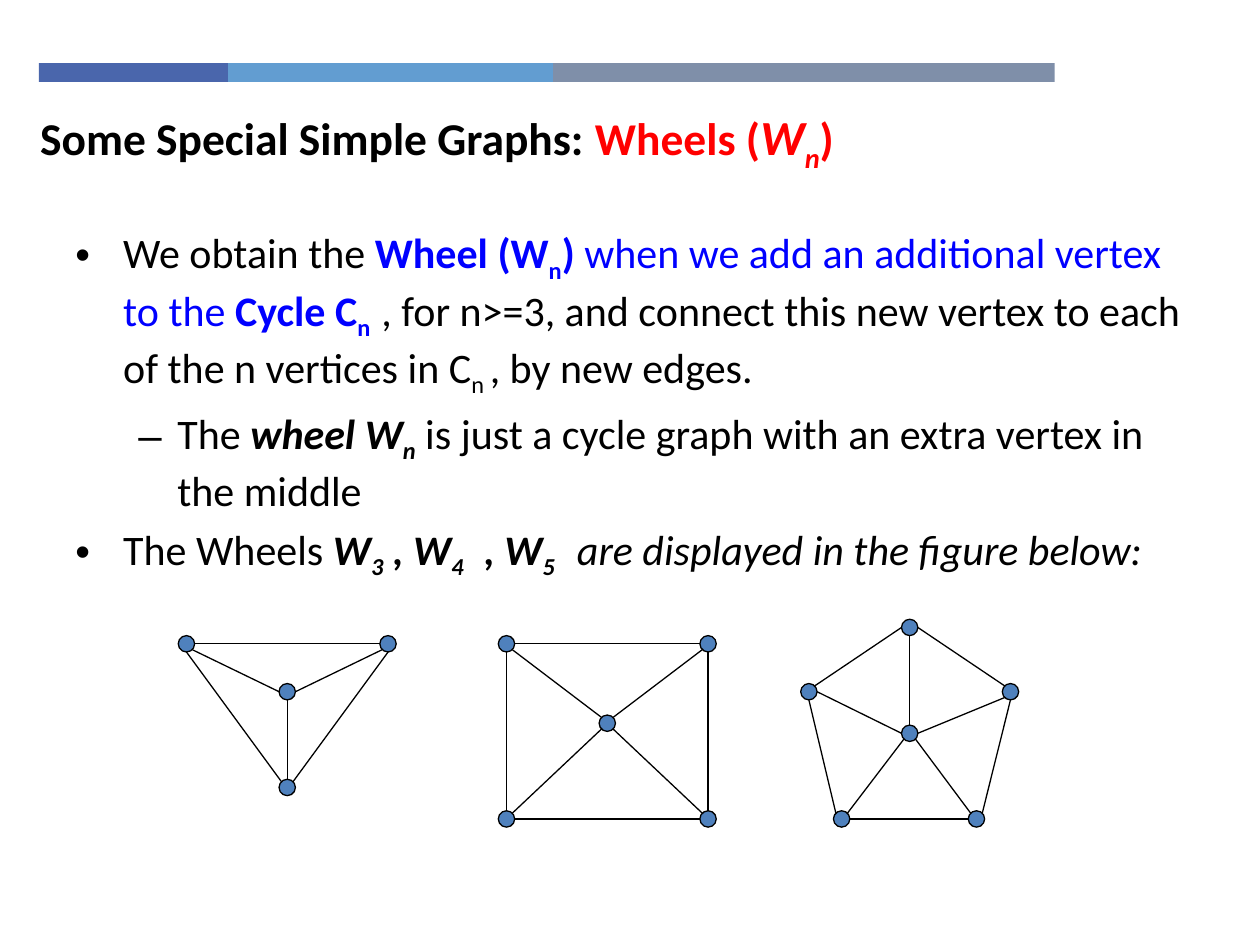
from dataclasses import dataclass
from math import sqrt
from typing import NamedTuple

from lxml.etree import SubElement
from pptx import Presentation
from pptx.dml.color import RGBColor
from pptx.enum.shapes import MSO_CONNECTOR as Conn, MSO_SHAPE as Shape
from pptx.oxml.ns import qn
from pptx.util import Inches, Pt

COLORS = {
    "black": "000000", "red": "FF0000", "blue": "0000FF", "node": "4F81BD",
    "navy": "4A66AC", "sky": "629DD1", "slate": "7F8FA9",
}
FONT = "Calibri"
NODE = 0.13
DIAG = 1 / sqrt(2)
COMPASS = {
    "N": (0, -1), "S": (0, 1), "W": (-1, 0), "E": (1, 0),
    "NW": (-DIAG, -DIAG), "NE": (DIAG, -DIAG),
    "SW": (-DIAG, DIAG), "SE": (DIAG, DIAG),
}


class Point(NamedTuple):
    x: float
    y: float


class Run(NamedTuple):
    text: str
    style: str = ""
    color: str = "black"
    size: float = 24


class Bullet(NamedTuple):
    char: str
    level: int
    margin: float
    hang: float


@dataclass
class Wheel:
    hub: Point
    rim: list[Point]
    rim_sites: list[str]
    spoke_sites: list[str]


DOT = Bullet("•", 0, 0.38, 0.38)
DASH = Bullet("–", 1, 0.81, 0.31)

STRIPES = [(0.31, 1.5, "navy"), (1.81, 2.58, "sky"), (4.39, 3.98, "slate")]

TITLE = [
    Run("Some Special Simple Graphs: ", "b", size=26),
    Run("Wheels (", "b", "red", 26),
    Run("W", "bi", "red", 28),
    Run("n", "bi_", "red", 28),
    Run(")", "b", "red", 26),
]

BODY = [
    (DOT, [
        Run("We obtain the "),
        Run("Wheel (W", "b", "blue"), Run("n", "b_", "blue"), Run(") ", "b", "blue"),
        Run("when we add an additional vertex to the ", "", "blue"),
        Run("Cycle C", "b", "blue"), Run("n  ", "b_", "blue"),
        Run(", for n>=3, and connect this new vertex to each of the n vertices in C"),
        Run("n ", "_"), Run(", by new edges."),
    ]),
    (DASH, [
        Run("The "), Run("wheel W", "bi"), Run("n", "bi_"),
        Run(" is just a cycle graph with an extra vertex in the middle"),
    ]),
    (DOT, [
        Run("The Wheels "), Run("W", "bi"), Run("3", "bi_"),
        Run(" , W", "bi"), Run("4  ", "bi_"),
        Run(" , W", "bi"), Run("5    ", "bi_"),
        Run("are displayed in the figure below:", "i"),
    ]),
]

WHEELS = [
    Wheel(
        Point(2.28, 5.49),
        [Point(1.48, 5.11), Point(3.08, 5.11), Point(2.28, 6.25)],
        ["E-W", "S-NE", "NW-S"],
        ["W-SE", "E-SW", "S-N"],
    ),
    Wheel(
        Point(4.82, 5.74),
        [Point(4.02, 5.11), Point(5.62, 5.11), Point(5.62, 6.5), Point(4.02, 6.5)],
        ["E-W", "S-N", "W-E", "N-S"],
        ["NW-SE", "NE-SW", "SE-NW", "SW-NE"],
    ),
    Wheel(
        Point(7.22, 5.82),
        [Point(7.22, 4.98), Point(8.02, 5.49), Point(7.75, 6.5),
         Point(6.68, 6.5), Point(6.42, 5.49)],
        ["E-NW", "S-NE", "W-E", "NW-S", "NE-W"],
        ["N-S", "E-SW", "SE-NW", "SW-NE", "W-E"],
    ),
]


def rgb(name: str) -> RGBColor:
    return RGBColor.from_string(COLORS[name])


def add_block(s, kind, x: float, y: float, w: float, h: float, fill: str):
    sp = s.shapes.add_shape(kind, Inches(x), Inches(y), Inches(w), Inches(h))
    sp.shadow.inherit = False
    sp.fill.solid()
    sp.fill.fore_color.rgb = rgb(fill)
    sp.line.fill.background()
    return sp


def add_text(s, x: float, y: float, w: float, h: float):
    tf = s.shapes.add_textbox(Inches(x), Inches(y), Inches(w), Inches(h)).text_frame
    tf.word_wrap = True
    return tf


def add_runs(p, runs: list[Run]) -> None:
    for run in runs:
        r = p.add_run()
        r.text = run.text
        r.font.name, r.font.size = FONT, Pt(run.size)
        r.font.bold, r.font.italic = "b" in run.style, "i" in run.style
        r.font.color.rgb = rgb(run.color)
        if "_" in run.style:
            r.font._element.set("baseline", "-25000")


def set_bullet(p, bullet: Bullet) -> None:
    p.level = bullet.level
    pPr = p._p.get_or_add_pPr()
    pPr.set("marL", str(Inches(bullet.margin)))
    pPr.set("indent", str(-Inches(bullet.hang)))
    SubElement(pPr, qn("a:buFont")).set("typeface", "Arial")
    SubElement(pPr, qn("a:buChar")).set("char", bullet.char)


def site(center: Point, direction: str) -> Point:
    dx, dy = COMPASS[direction]
    return Point(center.x + dx * NODE / 2, center.y + dy * NODE / 2)


def add_edge(s, start: Point, end: Point, sites: str) -> None:
    first, last = sites.split("-")
    a, b = site(start, first), site(end, last)
    line = s.shapes.add_connector(
        Conn.STRAIGHT, Inches(a.x), Inches(a.y), Inches(b.x), Inches(b.y))
    line.line.color.rgb = rgb("black")
    line.line.width = Pt(0.75)
    SubElement(line._element.spPr, qn("a:effectLst"))


def add_node(s, center: Point) -> None:
    sp = add_block(s, Shape.OVAL, center.x - NODE / 2, center.y - NODE / 2, NODE, NODE, "node")
    sp.line.color.rgb = rgb("black")
    sp.line.width = Pt(0.75)


def add_wheel(s, wheel: Wheel) -> None:
    for node in [*wheel.rim, wheel.hub]:
        add_node(s, node)
    following = wheel.rim[1:] + wheel.rim[:1]
    for start, end, sites in zip(wheel.rim, following, wheel.rim_sites):
        add_edge(s, start, end, sites)
    for node, sites in zip(wheel.rim, wheel.spoke_sites):
        add_edge(s, wheel.hub, node, sites)


def main() -> None:
    """Build the slide on wheel graphs."""
    prs = Presentation()
    prs.slide_width, prs.slide_height = Inches(10), Inches(7.5)
    s = prs.slides.add_slide(prs.slide_layouts[6])
    for x, width, color in STRIPES:
        add_block(s, Shape.RECTANGLE, x, 0.5, width, 0.15, color)
    add_runs(add_text(s, 0.22, 0.8, 7.16, 0.54).paragraphs[0], TITLE)
    tf = add_text(s, 0.5, 1.75, 9, 5.16)
    for i, (bullet, runs) in enumerate(BODY):
        p = tf.add_paragraph() if i else tf.paragraphs[0]
        p.space_before = Pt(4.8 if i else 0)
        set_bullet(p, bullet)
        add_runs(p, runs)
    for wheel in WHEELS:
        add_wheel(s, wheel)
    prs.save("out.pptx")


if __name__ == "__main__":
    main()
